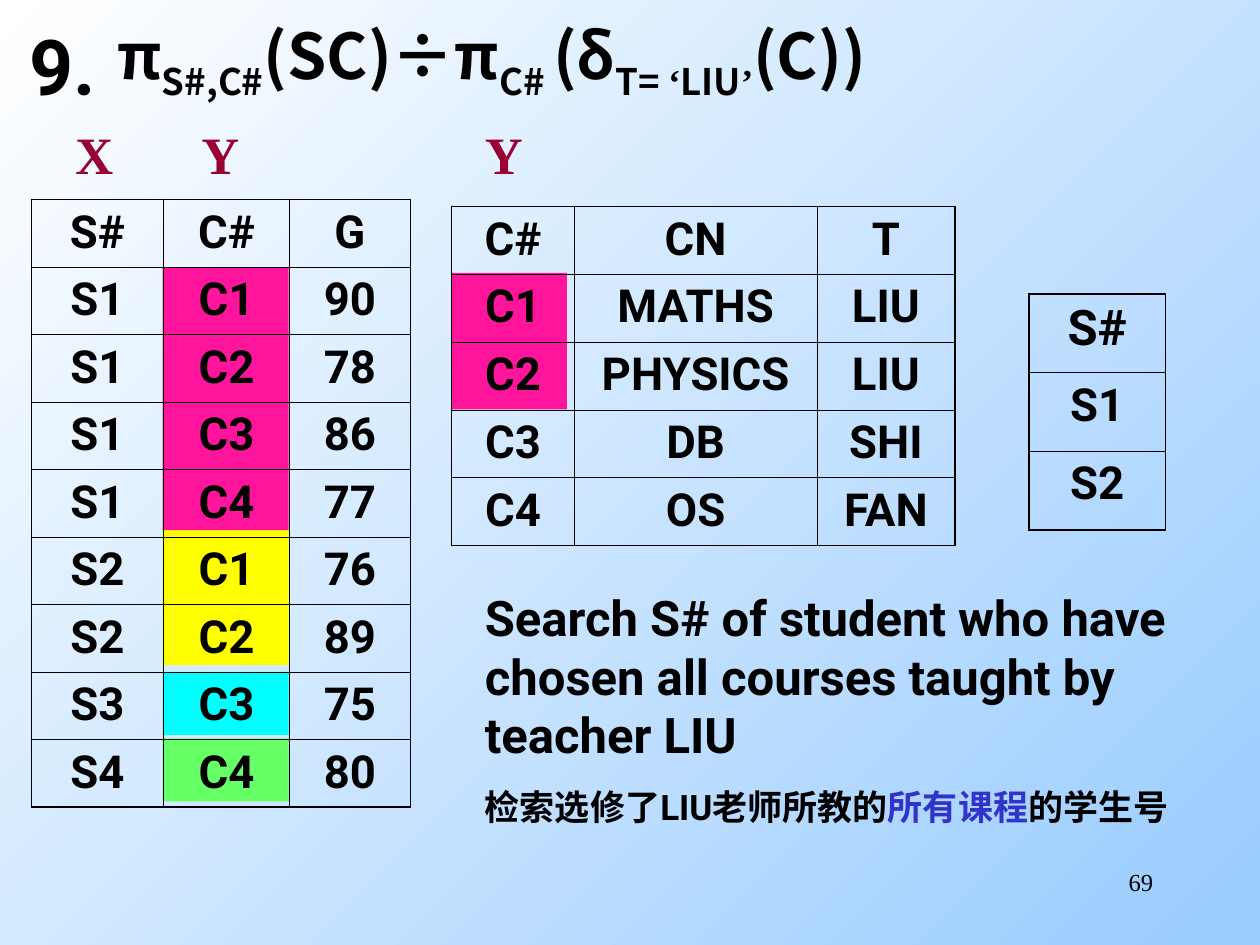
from dataclasses import dataclass
from typing import NamedTuple

from lxml import etree
from pptx import Presentation
from pptx.dml.color import RGBColor
from pptx.enum.shapes import MSO_SHAPE
from pptx.enum.text import MSO_ANCHOR, PP_ALIGN
from pptx.oxml.ns import qn
from pptx.util import Pt

RECTANGLE = MSO_SHAPE.RECTANGLE
MIDDLE = MSO_ANCHOR.MIDDLE
LEFT, CENTER, RIGHT = PP_ALIGN.LEFT, PP_ALIGN.CENTER, PP_ALIGN.RIGHT
TITLE_ONLY = 5


@dataclass(frozen=True)
class Theme:
    sans: str = "Roboto"
    cjk: str = "Noto Sans CJK SC"
    serif: str = "Times New Roman"
    ink: str = "000000"
    label: str = "990033"
    accent: str = "3333CC"
    pink: str = "FF149C"
    yellow: str = "FFFF00"
    cyan: str = "00FFFF"
    green: str = "66FF66"
    sky: tuple[str, str] = ("FFFFFF", "99CCFF")
    title_size: float = 44
    formula_size: float = 36
    label_size: float = 30
    question_size: float = 28
    cell_size: float = 26
    translation_size: float = 20
    number_size: float = 14
    frame_line: float = 1.08
    grid_line: float = 0.45


THEME = Theme()


class Box(NamedTuple):
    left: float
    top: float
    width: float
    height: float

    def points(self):
        return [Pt(value) for value in self]


class Highlight(NamedTuple):
    box: Box
    color: str


class Relation(NamedTuple):
    left: float
    top: float
    columns: tuple[float, ...]
    row_height: float
    rows: list[str]
    header_size: float = THEME.cell_size


class Piece(NamedTuple):
    text: str
    subscript: bool = False
    font: str = ""


HIGHLIGHTS = [
    Highlight(Box(93, 422, 72, 36), THEME.green),
    Highlight(Box(93, 384, 72, 36), THEME.cyan),
    Highlight(Box(93, 302, 72, 78), THEME.yellow),
    Highlight(Box(93, 153, 72, 150), THEME.pink),
    Highlight(Box(258, 156, 66, 78), THEME.pink),
]

RELATIONS = [
    Relation(18, 114, (75.5, 72, 69), 38.6,
             ["S# C# G", "S1 C1 90", "S1 C2 78", "S1 C3 86", "S1 C4 77",
              "S2 C1 76", "S2 C2 89", "S3 C3 75", "S4 C4 80"]),
    Relation(258, 118, (70.3, 138.5, 79), 38.75,
             ["C# CN T", "C1 MATHS LIU", "C2 PHYSICS LIU", "C3 DB SHI", "C4 OS FAN"]),
    Relation(588, 168, (78,), 45, ["S#", "S1", "S2"], THEME.question_size),
]

LABELS = [("X", 36), ("Y", 108), ("Y", 270)]

FORMULA = [
    Piece("π"), Piece("S#,C#", True), Piece("(SC)÷π"), Piece("C# ", True),
    Piece("(δ"), Piece("T= ", True), Piece("‘", True, THEME.serif),
    Piece("LIU", True), Piece("’", True, THEME.serif), Piece("(C))"),
]


def style(paragraph, size: float, font: str, color: str = THEME.ink,
          bold: bool = True, align=LEFT) -> None:
    paragraph.alignment = align
    paragraph.font.size = Pt(size)
    paragraph.font.name = font
    paragraph.font.bold = bold
    paragraph.font.color.rgb = RGBColor.from_string(color)


def set_east_asian(run) -> None:
    properties = run.font._element
    etree.SubElement(properties, qn("a:ea"), typeface=THEME.cjk)


def add_text(slide, box: Box, text: str = ""):
    frame = slide.shapes.add_textbox(*box.points()).text_frame
    frame.word_wrap = True
    if text:
        frame.text = text
    return frame


def add_highlight(slide, highlight: Highlight) -> None:
    block = slide.shapes.add_shape(RECTANGLE, *highlight.box.points())
    block.shadow.inherit = False
    block.fill.solid()
    block.fill.fore_color.rgb = RGBColor.from_string(highlight.color)
    block.line.fill.background()


def set_borders(cell, outer: dict[str, bool]) -> None:
    properties = cell._tc.get_or_add_tcPr()
    for index, (side, on_frame) in enumerate(outer.items()):
        width = THEME.frame_line if on_frame else THEME.grid_line
        line = etree.Element(qn(f"a:ln{side}"), w=str(Pt(width)))
        fill = etree.SubElement(line, qn("a:solidFill"))
        etree.SubElement(fill, qn("a:srgbClr"), val=THEME.ink)
        properties.insert(index, line)


def add_relation(slide, relation: Relation) -> None:
    row_count, column_count = len(relation.rows), len(relation.columns)
    box = Box(relation.left, relation.top, sum(relation.columns),
              relation.row_height * row_count)
    table = slide.shapes.add_table(row_count, column_count, *box.points()).table
    table.first_row = table.horz_banding = False
    for column, width in zip(table.columns, relation.columns):
        column.width = Pt(width)
    for r, values in enumerate(relation.rows):
        table.rows[r].height = Pt(relation.row_height)
        for c, value in enumerate(values.split()):
            cell = table.cell(r, c)
            cell.text = value
            cell.fill.background()
            set_borders(cell, {"L": c == 0, "R": c == column_count - 1,
                               "T": r == 0, "B": r == row_count - 1})
            size = THEME.cell_size if r else relation.header_size
            style(cell.text_frame.paragraphs[0], size, THEME.sans, align=CENTER)


def add_formula(slide) -> None:
    paragraph = add_text(slide, Box(60, 6, 660, 57)).paragraphs[0]
    style(paragraph, THEME.formula_size, THEME.cjk)
    for piece in FORMULA:
        run = paragraph.add_run()
        run.text = piece.text
        if piece.subscript:
            run.font._element.set("baseline", "-25000")
        if piece.font:
            run.font.name = piece.font
        else:
            set_east_asian(run)


def add_question(slide) -> None:
    frame = add_text(slide, Box(270, 332, 422, 145),
                     "Search S# of student who have chosen all courses taught by teacher LIU")
    style(frame.paragraphs[0], THEME.question_size, THEME.sans)
    translation = frame.add_paragraph()
    translation.space_before = Pt(12.5)
    style(translation, THEME.translation_size, THEME.sans)
    for text, color in [("检索选修了LIU老师所教的", THEME.ink), ("所有课程", THEME.accent),
                        ("的学生号", THEME.ink)]:
        run = translation.add_run()
        run.text = text
        run.font.color.rgb = RGBColor.from_string(color)
        set_east_asian(run)


def main() -> None:
    deck = Presentation()
    deck.slide_width, deck.slide_height = Pt(720), Pt(540)
    slide = deck.slides.add_slide(deck.slide_layouts[TITLE_ONLY])

    sky = slide.background.fill
    sky.gradient()
    sky.gradient_angle = 315
    for stop, color in zip(sky.gradient_stops, THEME.sky):
        stop.color.rgb = RGBColor.from_string(color)

    title = slide.shapes.title
    title.left, title.top, title.width, title.height = Box(0, 14, 72, 46).points()
    title.text_frame.text = "9."
    title.text_frame.vertical_anchor = MIDDLE
    style(title.text_frame.paragraphs[0], THEME.title_size, THEME.sans, align=CENTER)

    for highlight in HIGHLIGHTS:
        add_highlight(slide, highlight)
    for relation in RELATIONS:
        add_relation(slide, relation)
    for text, left in LABELS:
        label = add_text(slide, Box(left, 66, 36, 43), text)
        style(label.paragraphs[0], THEME.label_size, THEME.serif, THEME.label)
    add_formula(slide)
    add_question(slide)
    number = add_text(slide, Box(516, 492, 150, 36), "69")
    style(number.paragraphs[0], THEME.number_size, THEME.serif, bold=False, align=RIGHT)

    deck.save("out.pptx")


if __name__ == "__main__":
    main()
